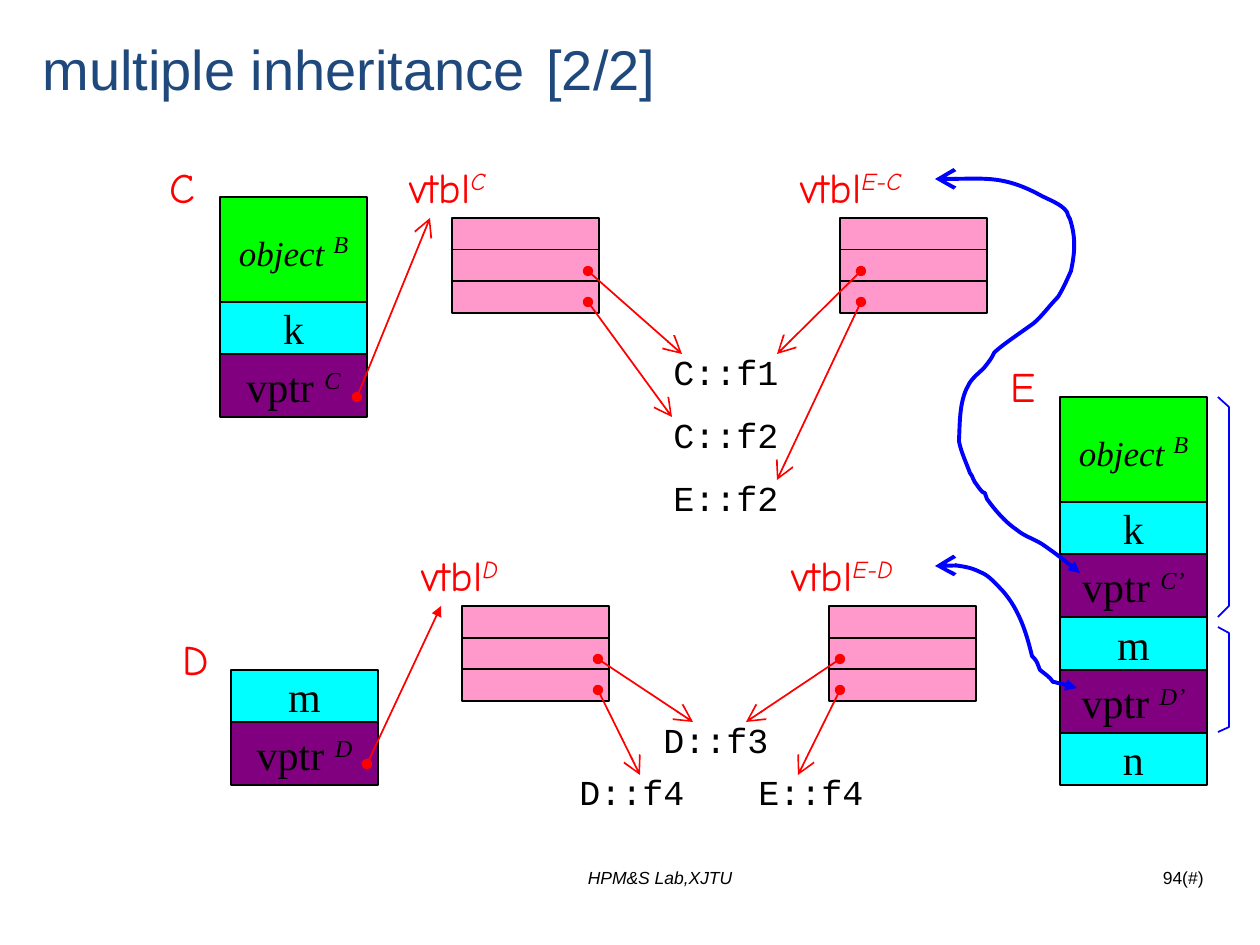
from pptx import Presentation
from pptx.dml.color import RGBColor
from pptx.enum.shapes import MSO_CONNECTOR, MSO_SHAPE
from pptx.enum.text import MSO_ANCHOR, MSO_AUTO_SIZE, PP_ALIGN
from pptx.oxml.ns import qn
from pptx.util import Emu, Pt
from lxml.etree import SubElement

BLACK = RGBColor(0x00, 0x00, 0x00)
NAVY = RGBColor(0x1F, 0x49, 0x7D)
RED = RGBColor(0xFF, 0x00, 0x00)
BLUE = RGBColor(0x00, 0x00, 0xFF)
GREEN = RGBColor(0x00, 0xFF, 0x00)
CYAN = RGBColor(0x00, 0xFF, 0xFF)
PURPLE = RGBColor(0x80, 0x00, 0x80)
PINK = RGBColor(0xFF, 0x99, 0xCC)
SERIF, HAND, MONO, SANS = "Times New Roman", "Comic Neue", "Courier New", "Arial"

# Content: every length is in px, 126 to the inch
CELL_WIDTH = 147
TABLE_HEIGHT, TABLE_ROWS = 95, 3
TITLE = "multiple inheritance\t[2/2]"
TITLE_TAB = 504

# Object layouts: left, top, cells of (text, superscript, height, fill)
OBJECTS = [
    (220, 197, [("object ", "B", 105, GREEN), ("k", "", 52, CYAN),
                ("vptr ", "C", 63, PURPLE)]),
    (1060, 397, [("object ", "B", 105, GREEN), ("k", "", 52, CYAN),
                 ("vptr ", "C’", 63, PURPLE), ("m", "", 53, CYAN),
                 ("vptr ", "D’", 63, PURPLE), ("n", "", 52, CYAN)]),
    (231, 670, [("m", "", 52, CYAN), ("vptr ", "D", 63, PURPLE)]),
]
TABLES = [(452, 218), (840, 218), (462, 606), (829, 606)]

# Labels: text, superscript, left, top, width
LABELS = [
    ("C", "", 157, 155, 50), ("E", "", 998, 354, 50), ("D", "", 170, 627, 52),
    ("vtbl", "C", 397, 155, 101), ("vtbl", "E-C", 788, 155, 128),
    ("vtbl", "D", 409, 543, 102), ("vtbl", "E-D", 779, 543, 130),
]
FUNCTIONS = [
    ("C::f1", 661, 344), ("C::f2", 661, 407), ("E::f2", 661, 470),
    ("D::f3", 651, 712), ("D::f4", 567, 764), ("E::f4", 746, 764),
]

# Pointers: from, to, arrowhead
POINTERS = [
    ((357, 397), (430, 218), "arrow"), ((588, 271), (682, 354), "arrow"),
    ((588, 302), (672, 417), "arrow"), ((861, 271), (777, 354), "arrow"),
    ((861, 302), (777, 480), "arrow"), ((367, 764), (441, 606), "triangle"),
    ((598, 690), (640, 775), "arrow"), ((598, 659), (693, 722), "arrow"),
    ((840, 659), (746, 722), "arrow"), ((840, 690), (798, 775), "arrow"),
]
BRACKETS = [
    [(1218, 397), (1229, 407), (1229, 606), (1218, 617)],
    [(1218, 627), (1229, 633), (1229, 727), (1218, 732)],
]

# Cubic Bezier chains: a start, then two controls and an end per piece
CURVES = [
    [(1080, 573),
     (1068, 563), (1055, 553), (1042, 544), (1034, 539), (1024, 536), (1017, 530),
     (1005, 522), (995, 510), (987, 499), (982, 485), (988, 501), (977, 485),
     (973, 481), (973, 476), (970, 473), (966, 462), (961, 452), (959, 441),
     (960, 425), (959, 402), (968, 386), (971, 379), (979, 373), (984, 368),
     (988, 363), (992, 358), (994, 353), (999, 347), (1026, 329), (1034, 323),
     (1043, 315), (1050, 305), (1058, 297), (1063, 289), (1067, 280), (1071, 271),
     (1075, 252), (1076, 238), (1070, 219), (1068, 217), (1068, 214), (1067, 212),
     (1062, 204), (1047, 199), (1040, 195), (1005, 176), (975, 179), (935, 179)],
    [(1077, 688),
     (1066, 685), (1071, 687), (1063, 684), (1061, 683), (1060, 683), (1058, 683),
     (1056, 682), (1053, 682), (1053, 682), (1050, 677), (1045, 674), (1040, 670),
     (1037, 663), (1038, 662), (1032, 656), (1026, 631), (1018, 606), (999, 587),
     (993, 581), (988, 575), (980, 572), (970, 567), (958, 566), (948, 564),
     (944, 564), (940, 565), (935, 566)],
]


def px(value):
    return Emu(round(value * 914400 / 126))


def style_span(span, size, font, color, italic=False, raised=False):
    span.font.size, span.font.name, span.font.italic = Pt(size), font, italic
    span.font.color.rgb = color
    if raised:
        span.font._element.set("baseline", "30000")


def write(para, text, raised, size, font, color, italic=False):
    para.text = text
    style_span(para.runs[0], size, font, color, italic)
    if raised:
        span = para.add_run()
        span.text = raised
        style_span(span, 24, font, color, True, True)


def add_text(left, top, width, height, text, raised, size, font, color,
             italic=False, align=PP_ALIGN.LEFT, wrap=False):
    box = slide.shapes.add_textbox(px(left), px(top), px(width), px(height))
    frame = box.text_frame
    frame.word_wrap = wrap
    frame.auto_size = MSO_AUTO_SIZE.NONE if wrap else MSO_AUTO_SIZE.SHAPE_TO_FIT_TEXT
    para = frame.paragraphs[0]
    para.alignment = align
    write(para, text, raised, size, font, color, italic)
    return box


def add_cell(left, top, height, fill):
    cell = slide.shapes.add_shape(MSO_SHAPE.RECTANGLE, px(left), px(top),
                                  px(CELL_WIDTH), px(height))
    cell.shadow.inherit = False
    cell.fill.solid()
    cell.fill.fore_color.rgb = fill
    cell.line.color.rgb, cell.line.width = BLACK, Pt(1)
    return cell


def set_ends(shape, head, tail):
    line = shape.line._get_or_add_ln()
    size = "lg" if tail == "arrow" else "med"
    SubElement(line, qn("a:headEnd"), type=head)
    SubElement(line, qn("a:tailEnd"), type=tail, w=size, len=size)


def add_path(points, width):
    spots = [(px(x), px(y)) for x, y in points]
    builder = slide.shapes.build_freeform(*spots[0])
    builder.add_line_segments(spots[1:], close=False)
    shape = builder.convert_to_shape()
    shape.shadow.inherit = False
    shape.fill.background()
    shape.line.color.rgb, shape.line.width = BLUE, Pt(width)
    return shape


def bend(shape):
    """Turn each three line segments into one cubic Bezier piece."""
    outline = next(shape._element.iter(qn("a:moveTo"))).getparent()
    segments = outline.findall(qn("a:lnTo"))
    for start in range(0, len(segments), 3):
        piece = SubElement(outline, qn("a:cubicBezTo"))
        for segment in segments[start:start + 3]:
            piece.append(segment[0])
            outline.remove(segment)


deck = Presentation()
deck.slide_width, deck.slide_height = px(1260), px(945)
slide = deck.slides.add_slide(deck.slide_layouts[6])

# Title and footer
title = add_text(30, 31, 1196, 74, TITLE, "", 32, SANS, NAVY, wrap=True)
title.text_frame.vertical_anchor = MSO_ANCHOR.MIDDLE
tabs = SubElement(title.text_frame.paragraphs[0]._p.get_or_add_pPr(), qn("a:tabLst"))
SubElement(tabs, qn("a:tab"), pos=str(px(TITLE_TAB)), algn="l")
add_text(422, 861, 476, 66, "HPM&S Lab,XJTU", "", 10, SANS, BLACK,
         italic=True, align=PP_ALIGN.CENTER, wrap=True)
add_text(974, 861, 242, 66, "94(#)", "", 10, SANS, BLACK,
         align=PP_ALIGN.RIGHT, wrap=True)

# Object layouts
for left, top, cells in OBJECTS:
    for text, raised, height, fill in cells:
        cell = add_cell(left, top, height, fill)
        frame = cell.text_frame
        frame.word_wrap, frame.vertical_anchor = False, MSO_ANCHOR.MIDDLE
        para = frame.paragraphs[0]
        para.alignment = PP_ALIGN.CENTER
        is_object = fill == GREEN
        write(para, text, raised, 20 if is_object else 24, SERIF, BLACK, is_object)
        top += height

# Virtual tables
for left, top in TABLES:
    row_height = TABLE_HEIGHT / TABLE_ROWS
    for row in range(TABLE_ROWS):
        add_cell(left, top + row * row_height, row_height, PINK)

# Labels and function names
for text, raised, left, top, width in LABELS:
    add_text(left, top, width, 63, text, raised, 24, HAND, RED)
for text, left, top in FUNCTIONS:
    add_text(left, top, 130, 55, text, "", 20, MONO, BLACK)

# Pointers, brackets and curved links
for start, end, tail in POINTERS:
    pointer = slide.shapes.add_connector(MSO_CONNECTOR.STRAIGHT,
                                         *map(px, start + end))
    pointer.line.color.rgb, pointer.line.width = RED, Pt(1)
    set_ends(pointer, "oval", tail)
    SubElement(pointer._element.spPr, qn("a:effectLst"))
for bracket in BRACKETS:
    add_path(bracket, 1)
for curve in CURVES:
    link = add_path(curve, 2.25)
    bend(link)
    set_ends(link, "triangle", "arrow")

deck.save("out.pptx")
